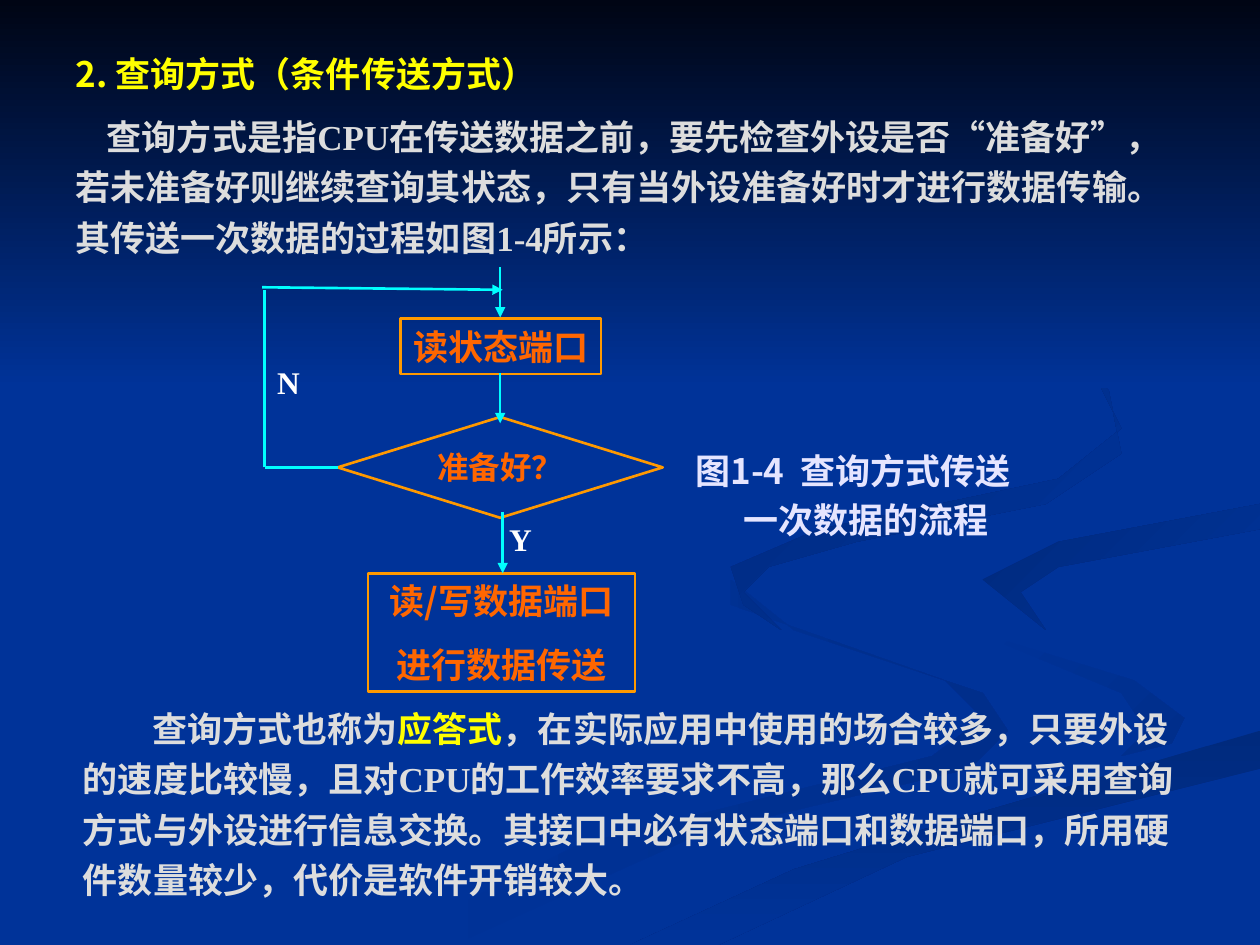
from dataclasses import dataclass

from lxml.etree import SubElement
from pptx import Presentation
from pptx.dml.color import RGBColor
from pptx.enum.shapes import MSO_CONNECTOR, MSO_SHAPE
from pptx.enum.text import MSO_ANCHOR, PP_ALIGN
from pptx.oxml.ns import qn
from pptx.util import Inches, Pt

COLORS = {
    "blue": "003399", "night": "000514", "shade": "002E8B", "dusk": "002A7D",
    "yellow": "FFFF00", "grey": "DDDDDD", "lilac": "E5E5FF", "white": "FFFFFF",
    "cyan": "00FFFF", "amber": "FF9900", "orange": "FF6600",
}
SERIF, SANS = "Times New Roman", "Noto Sans CJK SC"
WIDTH, HEIGHT = Inches(10), Inches(7.5)
COLUMNS, ROWS = 100, 75
LINE_HEIGHT = 1.2


@dataclass
class Words:
    text: str
    color: str
    font: str = SERIF
    size: int = 20


@dataclass
class Line:
    runs: list[Words]
    indent: float = 0
    spacing: float = 1
    before: float = 0
    align: PP_ALIGN = PP_ALIGN.LEFT


@dataclass
class Area:
    left: float
    top: float
    width: float
    height: float


@dataclass
class Step:
    outline: MSO_SHAPE
    area: Area
    lines: list[Line]


@dataclass
class Flow:
    start: tuple[float, float]
    end: tuple[float, float]
    arrow: bool = True


@dataclass
class Ribbon:
    points: list[tuple[float, float]]
    first: str
    last: str
    angle: float = 0


def col(value: float) -> int:
    return round(WIDTH * value / COLUMNS)


def row(value: float) -> int:
    return round(HEIGHT * value / ROWS)


def box(area: Area) -> tuple[int, int, int, int]:
    return col(area.left), row(area.top), col(area.width), row(area.height)


def rgb(name: str) -> RGBColor:
    return RGBColor.from_string(COLORS[name])


def write(frame, lines: list[Line], anchor=MSO_ANCHOR.TOP, wrap: bool = True) -> None:
    frame.word_wrap = wrap
    frame.vertical_anchor = anchor
    for index, line in enumerate(lines):
        paragraph = frame.paragraphs[0] if index == 0 else frame.add_paragraph()
        paragraph.alignment = line.align
        paragraph.line_spacing = Pt(line.runs[0].size * LINE_HEIGHT * line.spacing)
        paragraph.space_before = Pt(line.before)
        if line.indent:
            paragraph._p.get_or_add_pPr().set("indent", str(col(line.indent)))
        for words in line.runs:
            run = paragraph.add_run()
            run.text = words.text
            run.font.size, run.font.bold = Pt(words.size), True
            run.font.name = words.font
            run.font.color.rgb = rgb(words.color)
            SubElement(run._r.get_or_add_rPr(), qn("a:ea"), typeface=SANS)


def draw_text(slide, area: Area, lines: list[Line]) -> None:
    write(slide.shapes.add_textbox(*box(area)).text_frame, lines)


def fill_gradient(shape, first: str, last: str, angle: float) -> None:
    shape.shadow.inherit = False
    shape.line.fill.background()
    shape.fill.gradient()
    shape.fill.gradient_angle = -angle % 360
    for stop, name in zip(shape.fill.gradient_stops, (first, last)):
        stop.color.rgb = rgb(name)


def draw_ribbon(slide, ribbon: Ribbon) -> None:
    points = [(col(x), row(y)) for x, y in ribbon.points]
    builder = slide.shapes.build_freeform(*points[0])
    builder.add_line_segments(points[1:], close=True)
    fill_gradient(builder.convert_to_shape(), ribbon.first, ribbon.last, ribbon.angle)


def draw_step(slide, step: Step) -> None:
    shape = slide.shapes.add_shape(step.outline, *box(step.area))
    shape.shadow.inherit = False
    shape.fill.background()
    shape.line.color.rgb = rgb("amber")
    shape.line.width = Pt(1.5)
    write(shape.text_frame, step.lines, MSO_ANCHOR.MIDDLE, step.outline == MSO_SHAPE.DIAMOND)


def draw_flow(slide, flow: Flow) -> None:
    (x1, y1), (x2, y2) = flow.start, flow.end
    line = slide.shapes.add_connector(MSO_CONNECTOR.STRAIGHT, col(x1), row(y1), col(x2), row(y2))
    line.line.color.rgb = rgb("cyan")
    line.line.width = Pt(1.5)
    if flow.arrow:
        SubElement(line.line._get_or_add_ln(), qn("a:tailEnd"), type="triangle")
    SubElement(line._element.spPr, qn("a:effectLst"))


def centred(*runs: Words, before: float = 0) -> Line:
    return Line(list(runs), before=before, align=PP_ALIGN.CENTER)


RIBBONS = [
    Ribbon([(78, 55), (63, 50), (58, 46), (58, 48), (75, 54), (78, 57), (74, 60),
            (46, 67), (30, 75), (36, 75), (56, 66), (77, 61), (80, 58)], "blue", "shade"),
    Ribbon([(94, 57), (90, 54), (77, 50), (89, 55), (91, 58), (89, 60), (93, 59)],
           "blue", "shade", 45),
    Ribbon([(50, 75), (57, 75), (72, 68), (100, 61), (100, 58), (76, 65), (63, 69)],
           "dusk", "blue", 90),
    Ribbon([(78, 46), (83, 50), (81, 47), (84, 45), (100, 42), (100, 40), (84, 43)],
           "dusk", "blue", 45),
    Ribbon([(68, 43), (83, 40), (89, 36), (88, 31), (84, 27), (76, 23), (87, 30), (89, 34),
            (84, 38), (65, 42), (58, 45), (59, 48), (62, 50), (59, 47), (61, 45)],
           "dusk", "blue", 45),
]
STEPS = [
    Step(MSO_SHAPE.RECTANGLE, Area(31.8, 25.3, 15.9, 4.4), [centred(Words("读状态端口", "orange"))]),
    Step(MSO_SHAPE.RECTANGLE, Area(29.2, 45.5, 21.2, 9.4), [
        centred(Words("读", "orange"), Words("/", "orange", SANS), Words("写数据端口", "orange")),
        centred(Words("进行数据传送", "orange"), before=12.5)]),
    Step(MSO_SHAPE.DIAMOND, Area(26.8, 33.1, 25.8, 8),
         [centred(Words("准备好？", "orange", size=18))]),
]
AXIS, RETURN, JOIN, MIDDLE = 39.7, 21, 23, 37.1
FLOWS = [
    Flow((AXIS, 21.2), (AXIS, 25.2)), Flow((AXIS, 29.6), (AXIS, 33.6)),
    Flow((39.9, 40.6), (39.9, 45.5)), Flow((26.8, MIDDLE), (RETURN, MIDDLE), False),
    Flow((RETURN, MIDDLE), (RETURN, JOIN), False), Flow((20.8, 22.8), (39.9, JOIN)),
]
BRANCHES = {"Y": Area(39.2, 40.8, 4.2, 4), "N": Area(20.8, 28.3, 4.2, 4)}
HEADING = [Line([Words("2. 查询方式（条件传送方式）", "yellow", SANS)], spacing=1.2)]
DEFINITION = [Line([
    Words("查询方式是指CPU在传送数据之前，要先检查外设是否", "grey"), Words("“", "grey", SANS),
    Words("准备好", "grey"), Words("”", "grey", SANS),
    Words("，若未准备好则继续查询其状态，只有当外设准备好时才进行数据传输。"
          "其传送一次数据的过程如图1-4所示：", "grey")], indent=2.5, spacing=1.2)]
USAGE = [Line([
    Words("查询方式也称为", "grey"), Words("应答式", "yellow"),
    Words("，在实际应用中使用的场合较多，只要外设的速度比较慢，且对CPU的工作效率要求不高，"
          "那么CPU就可采用查询方式与外设进行信息交换。其接口中必有状态端口和数据端口，"
          "所用硬件数量较少，代价是软件开销较大。", "grey")], indent=5.5, spacing=1.2)]
CAPTION = [
    Line([Words("图", "lilac"), Words("1-4  查询方式传送", "lilac", SANS)], spacing=1.15),
    Line([Words("一次数据的流程", "lilac", SANS)], indent=3.8, spacing=1.15),
]


def main() -> None:
    deck = Presentation()
    deck.slide_width, deck.slide_height = WIDTH, HEIGHT
    slide = deck.slides.add_slide(deck.slide_layouts[5])
    slide.background.fill.solid()
    slide.background.fill.fore_color.rgb = rgb("blue")
    for ribbon in RIBBONS:
        draw_ribbon(slide, ribbon)
    sky = slide.shapes.add_shape(MSO_SHAPE.RECTANGLE, *box(Area(0, 0, COLUMNS, 30.8)))
    fill_gradient(sky, "night", "blue", 90)
    heading = slide.shapes.title
    heading.left, heading.top, heading.width, heading.height = box(Area(5, 3, 87.5, 5))
    write(heading.text_frame, HEADING)
    slide.shapes._spTree.append(heading._element)
    draw_text(slide, Area(5, 8, 87.5, 12.9), DEFINITION)
    draw_text(slide, Area(5.6, 55, 90.8, 17.4), USAGE)
    draw_text(slide, Area(54.2, 34.7, 31.7, 8.7), CAPTION)
    for step in STEPS:
        draw_step(slide, step)
    for flow in FLOWS:
        draw_flow(slide, flow)
    for answer, area in BRANCHES.items():
        draw_text(slide, area, [centred(Words(answer, "white", size=18))])
    deck.save("out.pptx")


if __name__ == "__main__":
    main()
